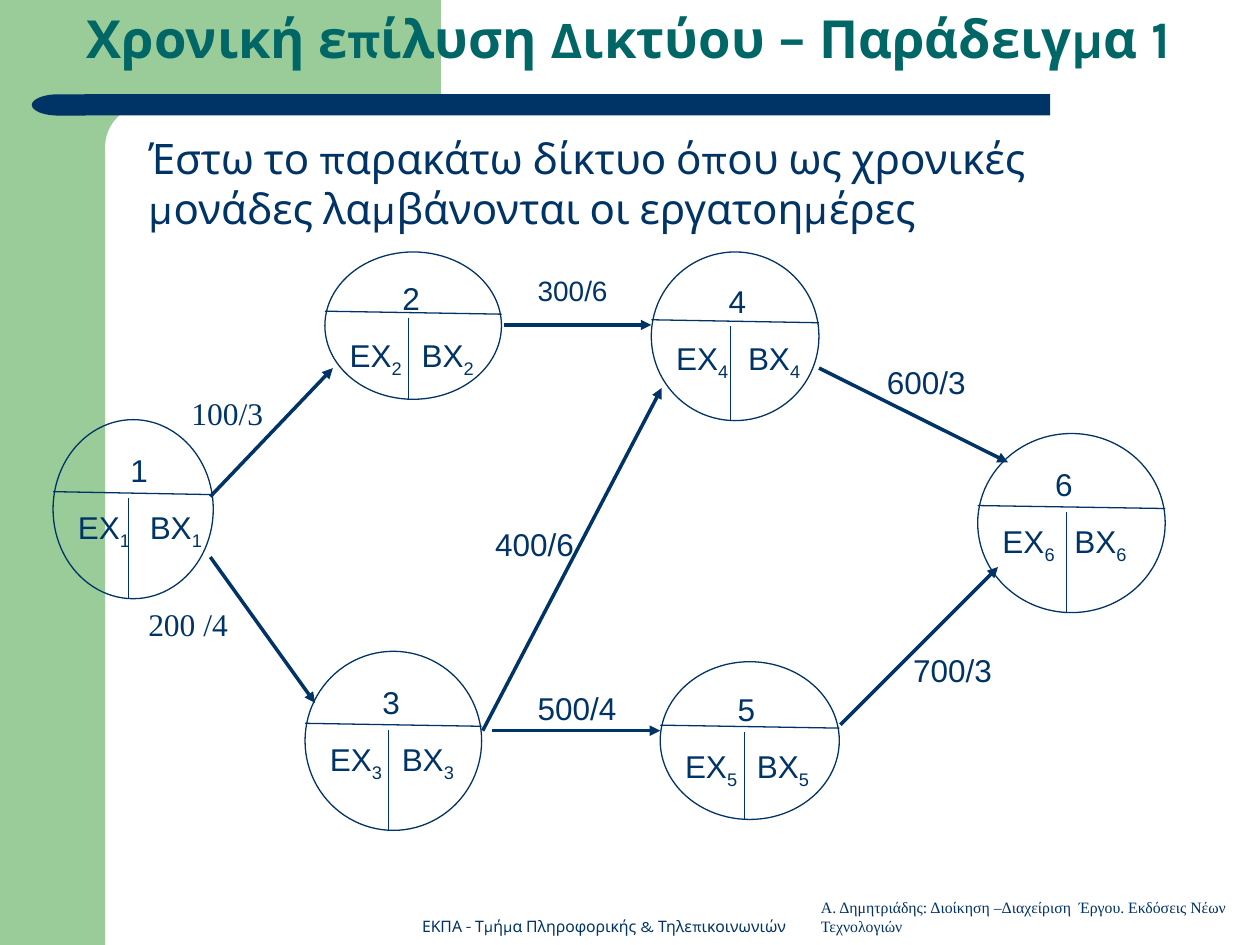
"""Build a slide with a six-node project network and its timed activities."""
from lxml import etree
from pptx import Presentation
from pptx.dml.color import RGBColor
from pptx.enum.shapes import MSO_CONNECTOR, MSO_SHAPE
from pptx.enum.text import MSO_ANCHOR, PP_ALIGN
from pptx.oxml.ns import qn
from pptx.util import Cm, Pt

NAVY = RGBColor(0x00, 0x33, 0x66)
TEAL = RGBColor(0x00, 0x66, 0x66)
GREEN = RGBColor(0x99, 0xCC, 0x99)
WHITE = RGBColor(0xFF, 0xFF, 0xFF)
RECT = MSO_SHAPE.RECTANGLE
ROUND = MSO_SHAPE.ROUNDED_RECTANGLE
DELAY = MSO_SHAPE.FLOWCHART_DELAY
OVAL = MSO_SHAPE.OVAL
STRAIGHT = MSO_CONNECTOR.STRAIGHT
LEFT, CENTER = PP_ALIGN.LEFT, PP_ALIGN.CENTER
TOP, BOTTOM = MSO_ANCHOR.TOP, MSO_ANCHOR.BOTTOM
SANS, SERIF, DISPLAY = "Arial", "Times New Roman", "Karla"

BACKDROP = [
    (RECT, (0, 0, 2.12, 19.05), GREEN),
    (RECT, (1.9, 0, 6.99, 2.96), GREEN),
    (ROUND, (2.12, 2.12, 14.18, 1.69), WHITE),
    (RECT, (1.7, 1.9, 19.47, 0.43), NAVY),
    (DELAY, (0.64, 1.9, 1.08, 0.43), NAVY),
]
TEXTS = [
    ("ΕΚΠΑ - Τμήμα Πληροφορικής & Τηλεπικοινωνιών",
     (8.15, 18.34, 8.05, 0.64), 9, DISPLAY, NAVY, False, CENTER, BOTTOM),
    ("Έστω το παρακάτω δίκτυο όπου ως χρονικές μονάδες λαμβάνονται οι εργατοημέρες",
     (2.74, 2.54, 21.59, 2.4), 24, DISPLAY, NAVY, False, LEFT, TOP),
    ("Χρονική επίλυση Δικτύου – Παράδειγμα 1",
     (1.5, 0, 23.47, 1.52), 30, DISPLAY, TEAL, True, LEFT, TOP),
    ("Α. Δημητριάδης: Διοίκηση –Διαχείριση  Έργου. Εκδόσεις Νέων Τεχνολογιών",
     (16.3, 17.98, 8.9, 1.02), 9, SERIF, NAVY, False, LEFT, TOP),
]
NODES = {
    "1": (1.07, 8.46, 3.23, 3.61),
    "2": (6.55, 5.08, 3.56, 2.97),
    "3": (6.15, 13.13, 3.56, 3.61),
    "4": (13.13, 5.08, 3.38, 3.4),
    "5": (13.31, 13.34, 3.61, 3.18),
    "6": (19.71, 8.74, 3.78, 3.61),
}
ACTIVITIES = [
    ("100/3", (4.24, 10.01, 6.71, 7.42), (3.61, 7.82), 18, SERIF),
    ("200 /4", (4.24, 11.23, 6.35, 14.17), (2.74, 12.07), 18, SERIF),
    ("300/6", (10.16, 6.55, 13.13, 6.55), (10.59, 5.38), 16, SANS),
    ("400/6", (9.73, 14.73, 13.34, 7.82), (9.73, 10.46), 18, SANS),
    ("500/4", (9.91, 14.73, 13.31, 14.73), (10.59, 13.77), 18, SANS),
    ("700/3", (16.94, 14.61, 20.12, 11.43), (18.16, 13), 18, SANS),
    ("600/3", (16.51, 7.42, 20.32, 9.32), (17.63, 7.19), 18, SANS),
]


def add_block(shapes, kind, box, fill=None):
    sp = shapes.add_shape(kind, *map(Cm, box))
    sp.shadow.inherit = False
    if fill is None:
        sp.fill.background()
        sp.line.color.rgb = NAVY
        sp.line.width = Pt(0.75)
    else:
        sp.fill.solid()
        sp.fill.fore_color.rgb = fill
        sp.line.fill.background()
    return sp


def add_line(shapes, ends, width=0.75, arrow=False):
    line = shapes.add_connector(STRAIGHT, *map(Cm, ends))
    line.line.color.rgb = NAVY
    line.line.width = Pt(width)
    if arrow:
        etree.SubElement(line.line._get_or_add_ln(), qn("a:tailEnd"), type="triangle")
    etree.SubElement(line._element.spPr, qn("a:effectLst"))


def add_frame(shapes, box, anchor=TOP):
    tf = shapes.add_textbox(*map(Cm, box)).text_frame
    tf.word_wrap = True
    tf.vertical_anchor = anchor
    return tf


def add_run(p, text, size, font, color=NAVY, bold=False, subscript=False):
    r = p.add_run()
    r.text = text
    r.font.size = Pt(size)
    r.font.name = font
    r.font.bold = bold
    r.font.color.rgb = color
    if subscript:
        r._r.get_or_add_rPr().set("baseline", "-25000")


def add_node(shapes, number, box):
    x, y, w, h = box
    split_x, split_y = x + w / 2 - 0.1, y + 0.402 * h
    tf = add_frame(shapes, (x + 0.25, y + 0.14 * h, w + 0.2, 3.2))
    p = tf.paragraphs[0]
    p._p.get_or_add_pPr().set("marL", str(Cm(1.06)))
    add_run(p, number, 18, SANS)
    p = tf.add_paragraph()
    p.space_before = Pt(11.2)
    tabs = etree.SubElement(p._p.get_or_add_pPr(), qn("a:tabLst"))
    etree.SubElement(tabs, qn("a:tab"), pos=str(Cm(1.45)), algn="l")
    for text, subscript in (("ΕΧ", False), (number, True), ("\tΒΧ", False), (number, True)):
        add_run(p, text, 18, SANS, subscript=subscript)
    add_line(shapes, (split_x, split_y + 0.13, split_x, y + h))
    add_line(shapes, (x, split_y, x + w, split_y + 0.06))
    add_block(shapes, OVAL, box)


def main():
    prs = Presentation()
    prs.slide_width, prs.slide_height = Cm(25.4), Cm(19.05)
    shapes = prs.slides.add_slide(prs.slide_layouts[6]).shapes
    for kind, box, fill in BACKDROP:
        sp = add_block(shapes, kind, box, fill)
        if kind == ROUND:
            sp.adjustments[0] = 0.5
        elif kind == DELAY:
            sp.rotation = 180
    for text, box, size, font, color, bold, align, anchor in TEXTS:
        p = add_frame(shapes, box, anchor).paragraphs[0]
        p.alignment = align
        add_run(p, text, size, font, color, bold)
    for number, box in NODES.items():
        add_node(shapes, number, box)
    for label, ends, place, size, font in ACTIVITIES:
        add_line(shapes, ends, 2, arrow=True)
        tf = add_frame(shapes, (*place, 2.6, 1.02))
        add_run(tf.paragraphs[0], label, size, font)
    prs.save("out.pptx")


if __name__ == "__main__":
    main()
